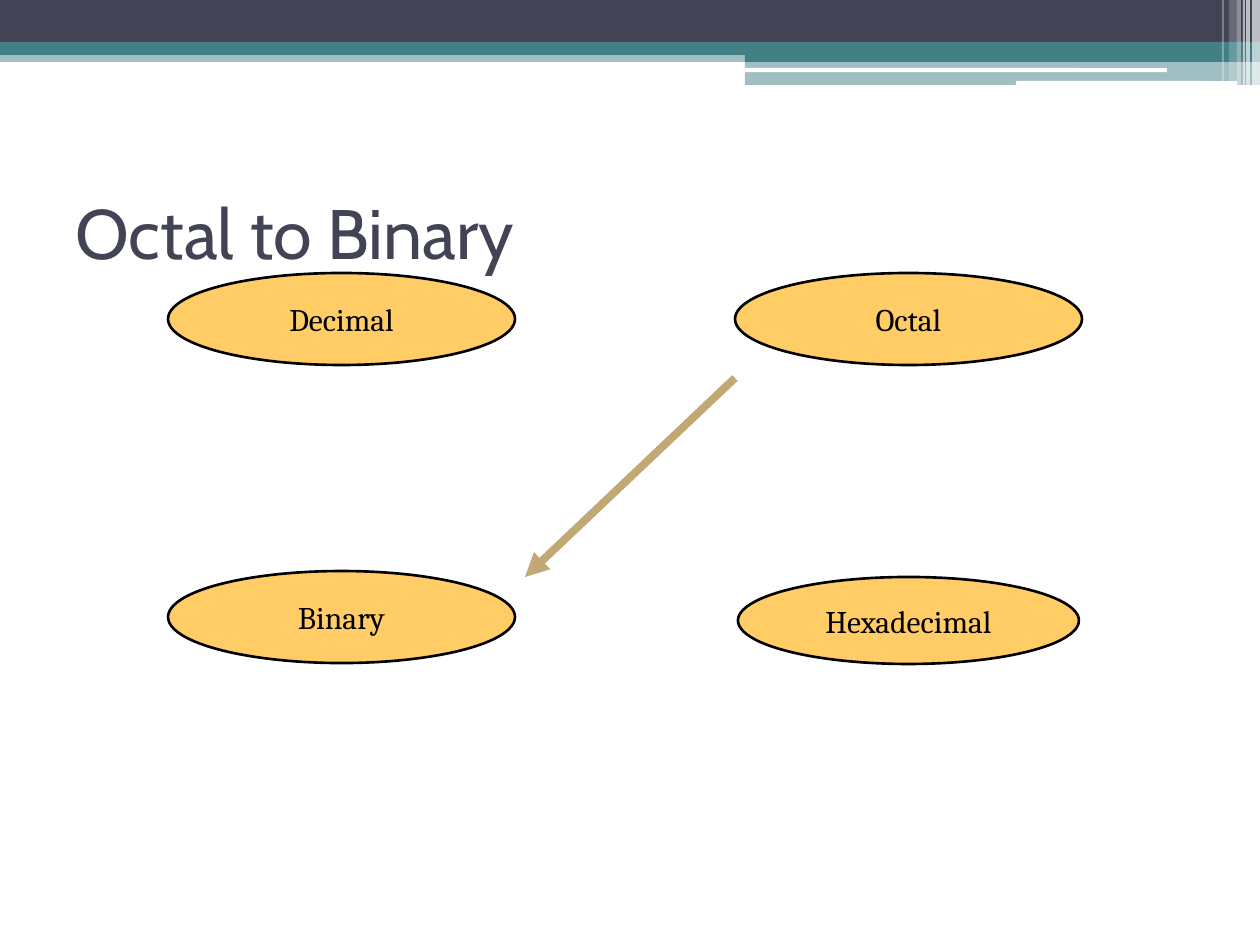
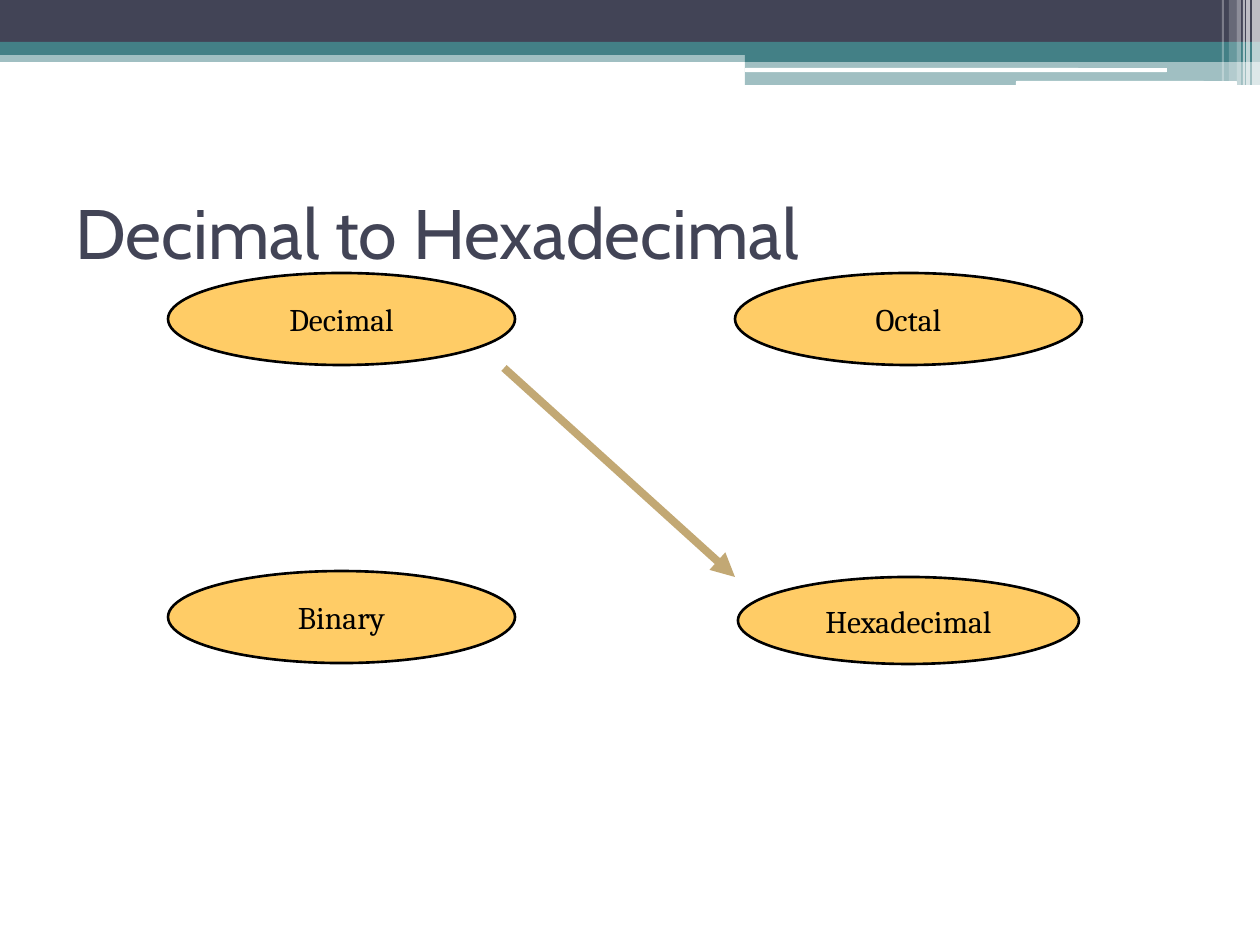
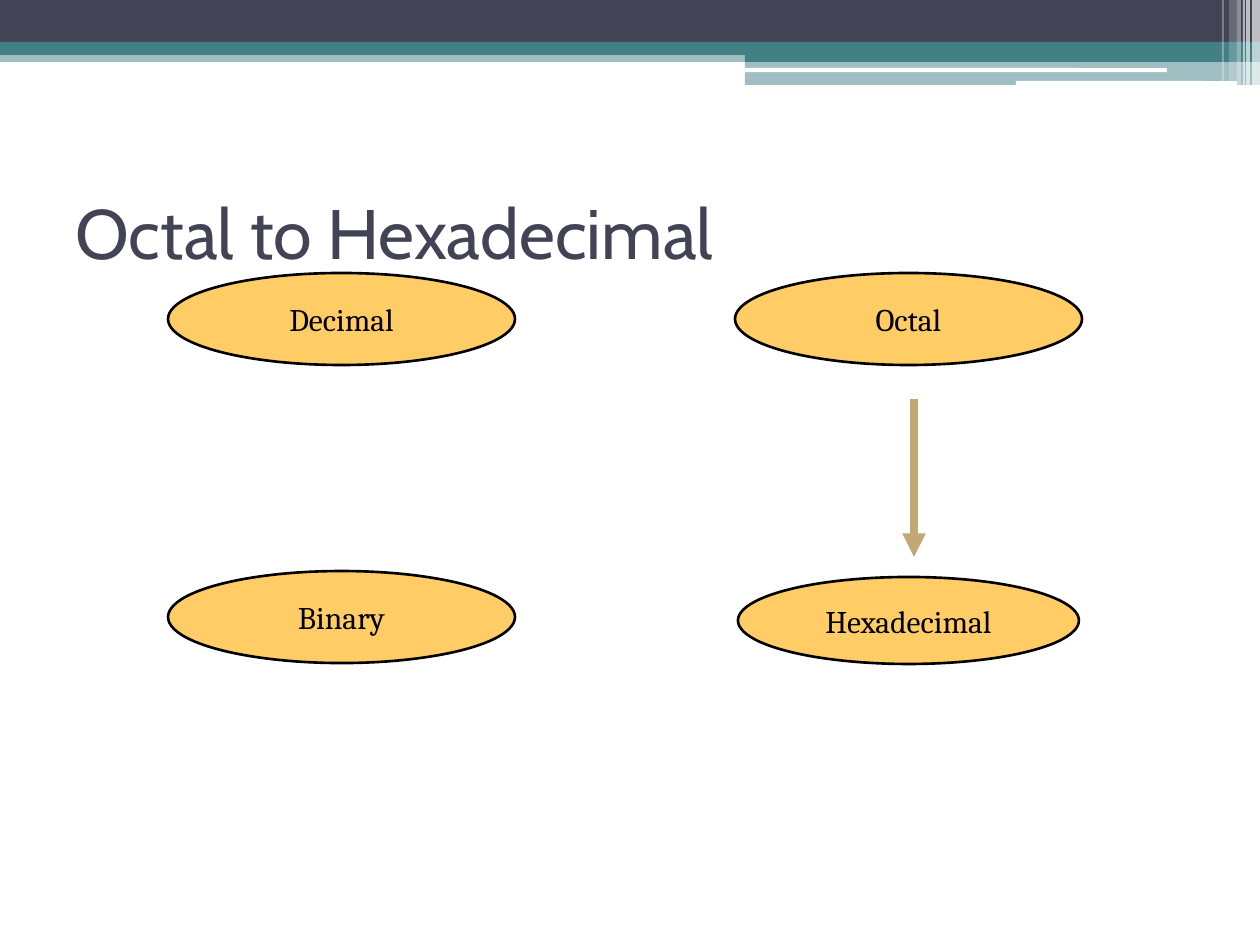
from lxml import etree
from pptx import Presentation
from pptx.dml.color import RGBColor
from pptx.enum.shapes import MSO_CONNECTOR, MSO_SHAPE
from pptx.enum.text import MSO_ANCHOR, MSO_AUTO_SIZE, PP_ALIGN
from pptx.oxml.ns import qn
from pptx.util import Emu, Pt

RECT, ROUNDED, OVAL = MSO_SHAPE.RECTANGLE, MSO_SHAPE.ROUNDED_RECTANGLE, MSO_SHAPE.OVAL
STRAIGHT = MSO_CONNECTOR.STRAIGHT
MIDDLE = MSO_ANCHOR.MIDDLE
LEFT, CENTER = PP_ALIGN.LEFT, PP_ALIGN.CENTER
NO_FIT = MSO_AUTO_SIZE.NONE

EMU_PER_PX = 914400 / 126
TITLE_ONLY = 5
COLORS = {
    "navy": "424456",
    "teal": "438086",
    "white": "FFFFFF",
    "black": "000000",
    "amber": "FFCC66",
    "tan": "C2A874",
}
TITLE_FONT, BODY_FONT = "Cabin", "Cambria"

# Header bands: shape, place in px, colour, opacity in percent
BANDS = [
    (RECT, (0, 50, 1260, 12), "teal", 50),
    (RECT, (0, 0, 1260, 42), "navy", 100),
    (RECT, (0, 42, 1260, 13), "teal", 100),
    (RECT, (745, 49, 515, 13), "teal", 100),
    (RECT, (745, 62, 515, 23), "teal", 50),
    (ROUNDED, (745, 68, 422, 4), "white", 100),
    (ROUNDED, (1016, 81, 221, 5), "white", 100),
]
# Vertical strips at the right end: left, width, height, opacity
STRIPS = [
    (1252, 8, 85, 65),
    (1246, 4, 85, 65),
    (1243, 2, 85, 60),
    (1237, 4, 85, 40),
    (1229, 8, 81, 20),
    (1222, 2, 81, 30),
]
# Number systems and their ovals
SYSTEMS = {
    "Hexadecimal": (738, 577, 341, 87),
    "Decimal": (168, 273, 347, 92),
    "Octal": (735, 273, 347, 92),
    "Binary": (168, 571, 347, 92),
}
# Conversions: source, target, arrow start, arrow end
CONVERSIONS = [
    ("Octal", "Binary", (735, 378), (525, 577)),
    ("Decimal", "Hexadecimal", (504, 368), (735, 577)),
    ("Octal", "Hexadecimal", (914, 399), (914, 557)),
]


def px(*lengths):
    return [Emu(round(length * EMU_PER_PX)) for length in lengths]


def color(name):
    return RGBColor.from_string(COLORS[name])


class ConversionDeck:
    def __init__(self):
        self.deck = Presentation()
        self.deck.slide_width, self.deck.slide_height = px(1260, 945)
        self.slide = None

    def new_slide(self, title):
        layout = self.deck.slide_layouts[TITLE_ONLY]
        self.slide = self.deck.slides.add_slide(layout)
        self.header()
        self.title(title)

    def header(self):
        for kind, place, fill, opacity in BANDS:
            self.shape(kind, place, fill, opacity)
        for left, width, height, opacity in STRIPS:
            self.shape(RECT, (left, 0, width, height), "white", opacity)

    def title(self, text):
        box = self.slide.shapes.title
        box.left, box.top, box.width, box.height = px(63, 158, 1134, 147)
        box.text_frame.auto_size = NO_FIT
        self.set_text(box, text, TITLE_FONT, 40, "navy", LEFT)

    def shape(self, kind, place, fill, opacity=100):
        shape = self.slide.shapes.add_shape(kind, *px(*place))
        shape.shadow.inherit = False
        shape.line.fill.background()
        shape.fill.solid()
        shape.fill.fore_color.rgb = color(fill)
        if opacity < 100:
            tint = shape.fill._xPr.find(".//" + qn("a:srgbClr"))
            etree.SubElement(tint, qn("a:alpha"), val=str(opacity * 1000))
        return shape

    def oval(self, text, place):
        oval = self.shape(OVAL, place, "amber")
        oval.line.color.rgb = color("black")
        oval.line.width = Pt(1.5)
        oval.text_frame.word_wrap = False
        self.set_text(oval, text, BODY_FONT, 18, "black", CENTER)

    def set_text(self, box, text, font, size, ink, alignment):
        frame = box.text_frame
        frame.text = text
        frame.vertical_anchor = MIDDLE
        para = frame.paragraphs[0]
        para.alignment = alignment
        para.font.name = font
        para.font.size = Pt(size)
        para.font.color.rgb = color(ink)

    def arrow(self, start, end):
        arrow = self.slide.shapes.add_connector(STRAIGHT, *px(*start, *end))
        arrow.line.color.rgb = color("tan")
        arrow.line.width = Pt(4.5)
        properties = arrow._element.spPr
        line = properties.find(qn("a:ln"))
        etree.SubElement(line, qn("a:tailEnd"), type="triangle")
        etree.SubElement(properties, qn("a:effectLst"))


def main():
    page = ConversionDeck()
    for source, target, start, end in CONVERSIONS:
        page.new_slide(f"{source} to {target}")
        for name, place in SYSTEMS.items():
            page.oval(name, place)
        page.arrow(start, end)
    page.deck.save("out.pptx")


if __name__ == "__main__":
    main()
